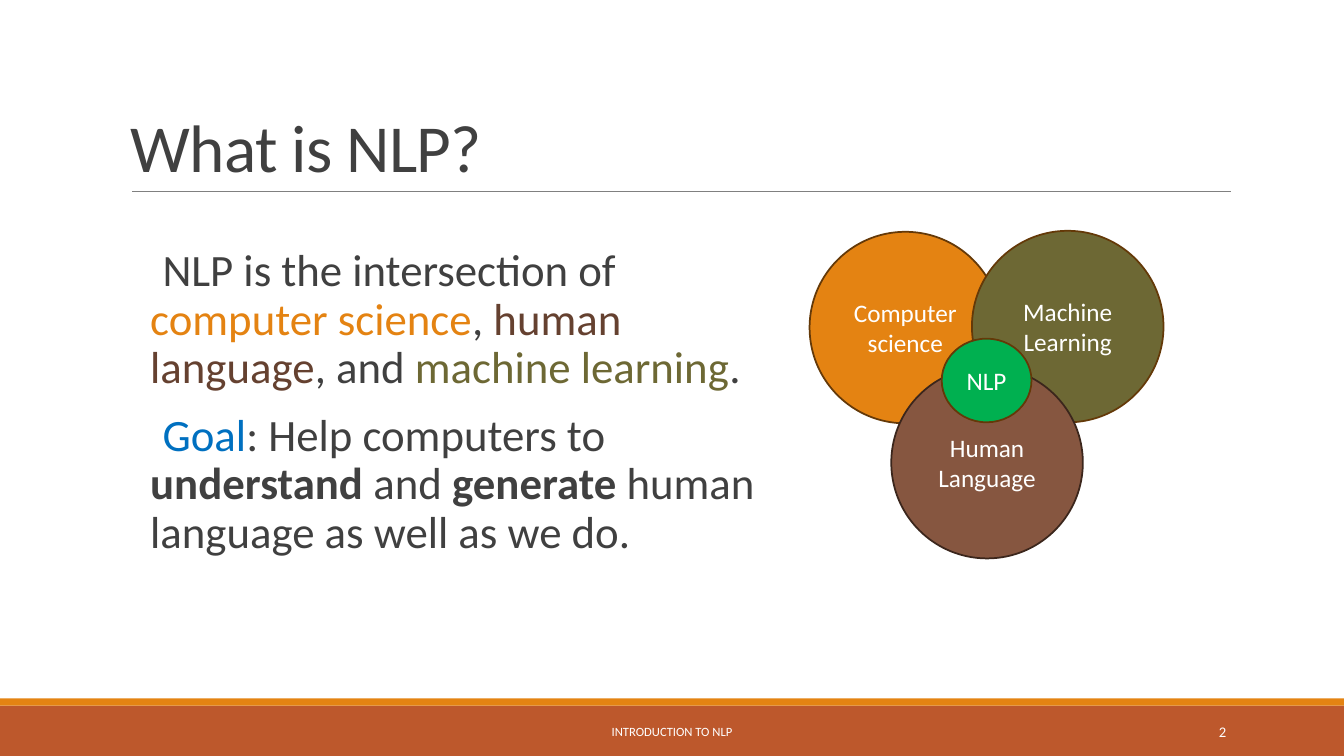
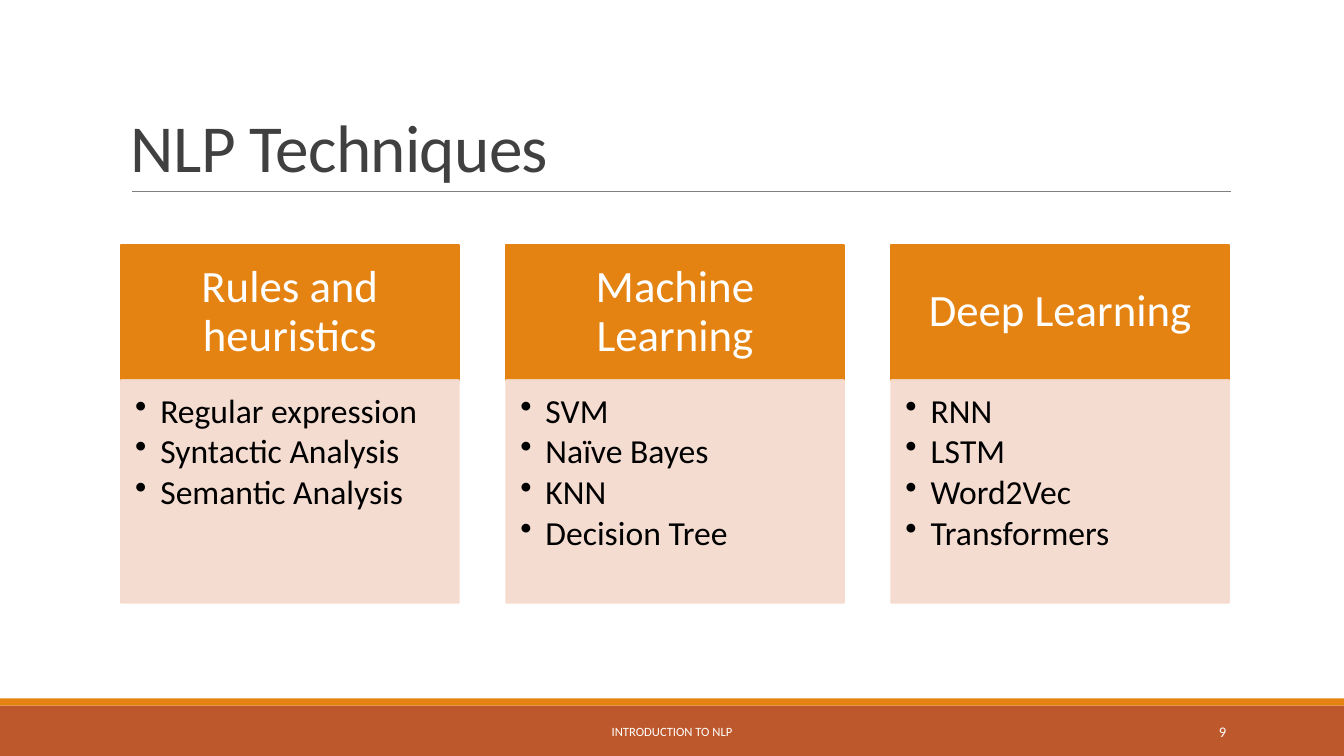
import dataclasses
import typing

import pptx
import pptx.dml.color
import pptx.enum.shapes
import pptx.enum.text
import pptx.oxml
import pptx.oxml.ns
import pptx.util
from pptx.util import Inches

FONT = "Calibri"
COLORS = {
    "white": "FFFFFF", "black": "000000", "text": "404040", "rule": "808080",
    "orange": "E48312", "rust": "BD582C", "olive": "6D6834", "brown": "865640",
    "dark_brown": "654130", "green": "00B050", "blue": "0070C0", "peach": "F5D9CC",
    "outline": "643908", "dark_outline": "3B261C",
}
ALIGN = pptx.enum.text.PP_ALIGN
ANCHOR = pptx.enum.text.MSO_ANCHOR
SHAPE = pptx.enum.shapes.MSO_SHAPE
Box = tuple[float, float, float, float]


@dataclasses.dataclass
class Run:
    text: str
    color: str = "text"
    bold: bool = False


@dataclasses.dataclass
class Bullet:
    char: str
    indent: float
    color: str


@dataclasses.dataclass
class Circle:
    text: str
    box: Box
    fill: str
    line: str = "outline"


@dataclasses.dataclass
class Technique:
    title: str
    items: list[str]


DEFINITION = [
    [Run("NLP is the intersection of "), Run("computer science", "orange"), Run(", "),
     Run("human language", "dark_brown"), Run(", and "),
     Run("machine learning", "olive"), Run(".")],
    [Run("Goal", "blue"), Run(": Help computers to "), Run("understand", bold=True),
     Run(" and "), Run("generate", bold=True),
     Run(" human language as well as we do.")],
]
CIRCLES = [
    Circle("Computer science", (8.03, 2.3, 1.9, 1.9), "orange"),
    Circle("Machine Learning", (9.64, 2.29, 1.9, 1.9), "olive"),
    Circle("Human Language", (8.84, 3.64, 1.9, 1.9), "brown", "dark_outline"),
    Circle("NLP", (9.34, 3.36, 0.89, 0.83), "green"),
]
TECHNIQUES = [
    Technique("Rules and heuristics",
              ["Regular expression", "Syntactic Analysis", "Semantic Analysis"]),
    Technique("Machine Learning", ["SVM", "Naïve Bayes", "KNN", "Decision Tree"]),
    Technique("Deep Learning", ["RNN", "LSTM", "Word2Vec", "Transformers"]),
]


def rgb(name: str) -> pptx.dml.color.RGBColor:
    return pptx.dml.color.RGBColor.from_string(COLORS[name])


def add_xml(parent: typing.Any, tag: str, **attrs: str) -> typing.Any:
    child = pptx.oxml.parse_xml(f"<a:{tag} {pptx.oxml.ns.nsdecls('a')}/>")
    for key, value in attrs.items():
        child.set(key, value)
    parent.append(child)
    return child


def add_bullet(p: typing.Any, bullet: Bullet) -> None:
    pPr = p._p.get_or_add_pPr()
    indent = Inches(bullet.indent)
    pPr.set("marL", str(indent))
    pPr.set("indent", str(-indent))
    add_xml(add_xml(pPr, "buClr"), "srgbClr", val=COLORS[bullet.color])
    add_xml(pPr, "buChar", char=bullet.char)


def write(sp: typing.Any, paragraphs: list[list[Run]], *, size: float,
          align: typing.Any = ALIGN.LEFT, anchor: typing.Any = ANCHOR.TOP,
          insets: Box = (0.1, 0.05, 0.1, 0.05), line: float = 1.0,
          before: float = 0, after: float = 0, tracking: float = 0,
          bullet: Bullet | None = None) -> None:
    """Fill a shape with paragraphs of runs; insets are left, top, right, bottom."""
    tf = sp.text_frame
    tf.word_wrap = True
    tf.vertical_anchor = anchor
    tf.margin_left, tf.margin_top, tf.margin_right, tf.margin_bottom = map(Inches, insets)
    for i, runs in enumerate(paragraphs):
        p = tf.add_paragraph() if i else tf.paragraphs[0]
        p.alignment = align
        p.line_spacing = line
        p.space_before = pptx.util.Pt(before)
        p.space_after = pptx.util.Pt(after)
        if bullet:
            add_bullet(p, bullet)
        for run in runs:
            r = p.add_run()
            r.text = run.text
            r.font.name = FONT
            r.font.size = pptx.util.Pt(size)
            r.font.bold = run.bold
            r.font.color.rgb = rgb(run.color)
            if tracking:
                r.font._element.set("spc", str(round(tracking * 100)))


def add_text(s: typing.Any, box: Box, paragraphs: list[list[Run]],
             **style: typing.Any) -> None:
    write(s.shapes.add_textbox(*map(Inches, box)), paragraphs, **style)


def add_shape(s: typing.Any, kind: typing.Any, box: Box, fill: str,
              line: str | None = None, opacity: int = 100) -> typing.Any:
    sp = s.shapes.add_shape(kind, *map(Inches, box))
    sp.shadow.inherit = False
    sp.fill.solid()
    sp.fill.fore_color.rgb = rgb(fill)
    if line:
        sp.line.color.rgb = rgb(line)
        sp.line.width = pptx.util.Pt(1.25)
    else:
        sp.line.fill.background()
    if opacity < 100:
        for color in sp._element.spPr.iter(pptx.oxml.ns.qn("a:srgbClr")):
            add_xml(color, "alpha", val=str(opacity * 1000))
    return sp


def add_slide(prs: typing.Any, title: str, number: int) -> typing.Any:
    """Add a blank slide with the shared title, rule, bands and footer."""
    s = prs.slides.add_slide(prs.slide_layouts[6])
    add_shape(s, SHAPE.RECTANGLE, (0, 7, 13.33, 0.5), "rust")
    add_shape(s, SHAPE.RECTANGLE, (0, 6.93, 13.33, 0.07), "orange")
    rule = s.shapes.add_connector(pptx.enum.shapes.MSO_CONNECTOR.STRAIGHT,
                                  *map(Inches, (1.31, 1.9, 12.21, 1.9)))
    rule.line.color.rgb = rgb("rule")
    rule.line.width = pptx.util.Pt(0.5)
    add_xml(rule._element.spPr, "effectLst")
    add_text(s, (1.2, 0.31, 11, 1.59), [[Run(title)]], size=48,
             anchor=ANCHOR.BOTTOM, line=0.85, tracking=-0.5)
    add_text(s, (4.03, 7.06, 5.27, 0.4), [[Run("INTRODUCTION TO NLP", "white")]],
             size=9, align=ALIGN.CENTER, anchor=ANCHOR.MIDDLE)
    add_text(s, (10.83, 7.06, 1.43, 0.4), [[Run(str(number), "white")]],
             size=10.5, align=ALIGN.RIGHT, anchor=ANCHOR.MIDDLE)
    return s


def add_definition_slide(prs: typing.Any) -> None:
    s = add_slide(prs, "What is NLP?", 2)
    add_text(s, (1.39, 2.41, 6.14, 3.79), DEFINITION, size=32,
             insets=(0, 0.05, 0, 0.05), line=0.9, before=12, after=2,
             bullet=Bullet(" ", 0.1, "orange"))
    for circle in CIRCLES:
        sp = add_shape(s, SHAPE.OVAL, circle.box, circle.fill, circle.line)
        write(sp, [[Run(circle.text, "white")]], size=18,
              align=ALIGN.CENTER, anchor=ANCHOR.MIDDLE)


def add_techniques_slide(prs: typing.Any) -> None:
    s = add_slide(prs, "NLP Techniques", 9)
    left, top, width, pitch = 1.2, 2.43, 3.35, 3.82
    head_height, list_height = 1.34, 2.21
    for i, technique in enumerate(TECHNIQUES):
        x = left + i * pitch
        head = add_shape(s, SHAPE.RECTANGLE, (x, top, width, head_height),
                         "orange", "orange")
        write(head, [[Run(technique.title, "white")]], size=32, line=0.9,
              align=ALIGN.CENTER, anchor=ANCHOR.MIDDLE,
              insets=(0.25, 0.14, 0.25, 0.14))
        panel = add_shape(s, SHAPE.RECTANGLE, (x, top + head_height, width, list_height),
                          "peach", "peach", opacity=90)
        write(panel, [[Run(item, "black")] for item in technique.items], size=24,
              line=0.9, after=3.2, insets=(0.14, 0.14, 0.19, 0.21),
              bullet=Bullet("•", 0.25, "black"))


def main() -> None:
    prs = pptx.Presentation()
    prs.slide_width = Inches(13.33)
    prs.slide_height = Inches(7.5)
    add_definition_slide(prs)
    add_techniques_slide(prs)
    prs.save("out.pptx")


if __name__ == "__main__":
    main()
